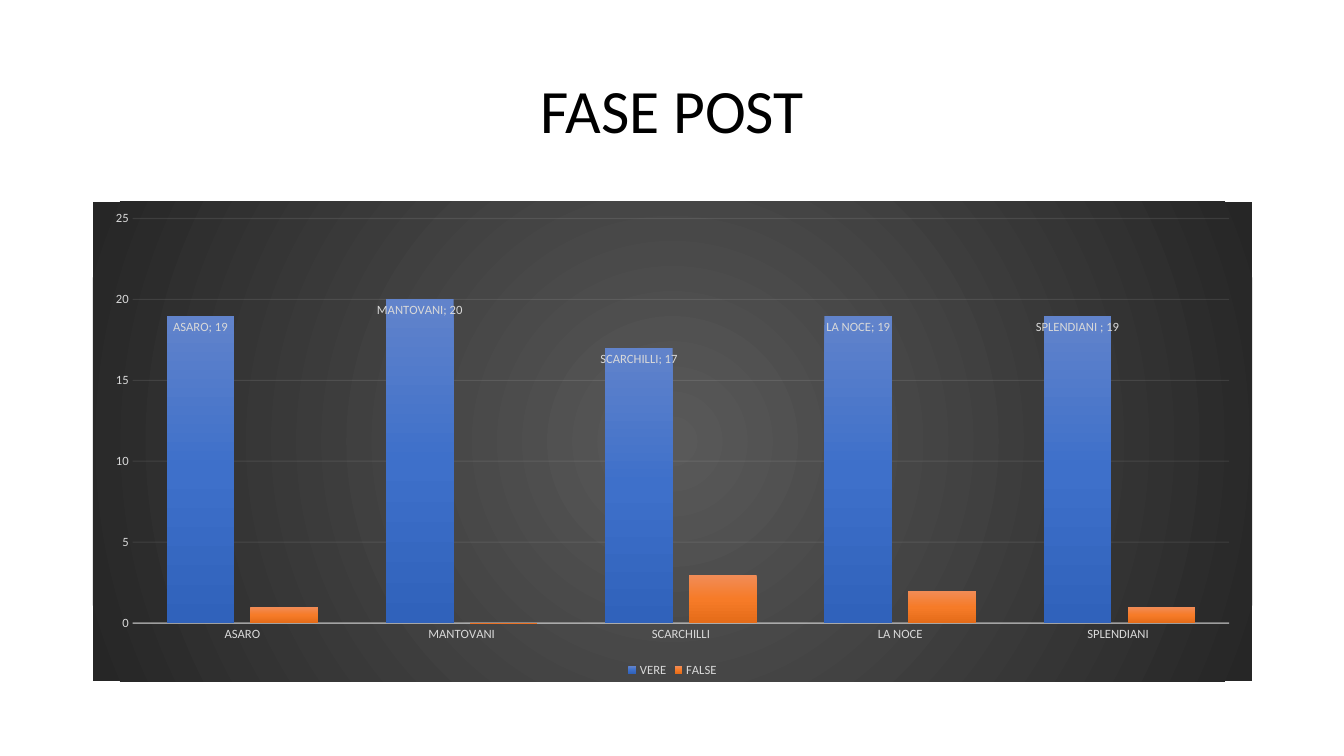
from lxml import etree
from pptx import Presentation
from pptx import util as u
from pptx.chart.data import CategoryChartData
from pptx.dml.color import RGBColor
from pptx.enum import chart as ch, text
from pptx.oxml import parse_xml
from pptx.oxml.ns import nsdecls, qn

FONT = "Calibri"
LABEL_GREY = "D9D9D9"
LINE_GREY = "F2F2F2"
LINEAR = '<a:lin ang="5400000" scaled="0"/>'
CIRCLE = ('<a:path path="circle"><a:fillToRect l="50000" t="50000" '
          'r="50000" b="50000"/></a:path>')

STUDENTS = ["ASARO", "MANTOVANI", "SCARCHILLI", "LA NOCE", "SPLENDIANI "]
ANSWERS = {
    "VERE": ([19, 20, 17, 19, 19], ["6183CB", "3E70CA", "3062BB"]),
    "FALSE": ([1, 0, 3, 2, 1], ["F18C57", "F67B28", "E56C19"]),
}


def colour(value):
    return RGBColor.from_string(value)


def style_font(font, size, value):
    font.name = FONT
    font.size = u.Pt(size)
    font.color.rgb = colour(value)


def gradient(stops, direction):
    """Gradient fill with evenly spaced stops."""
    step = 100000 // (len(stops) - 1)
    marks = "".join(f'<a:gs pos="{i * step}"><a:srgbClr val="{stop}"/></a:gs>'
                    for i, stop in enumerate(stops))
    return parse_xml(f'<a:gradFill {nsdecls("a")} rotWithShape="1">'
                     f'<a:gsLst>{marks}</a:gsLst>{direction}</a:gradFill>')


def style_line(line, width, opacity):
    line.width = u.Pt(width)
    line.color.rgb = colour(LINE_GREY)
    tint = line._get_or_add_ln().find(".//" + qn("a:srgbClr"))
    etree.SubElement(tint, qn("a:alpha"), val=str(opacity * 1000))


def add_title(slide, wording):
    title = slide.shapes.title
    title.left, title.top = u.Inches(0.92), u.Inches(0.4)
    title.width, title.height = u.Inches(11.5), u.Inches(1.45)
    frame = title.text_frame
    frame.word_wrap = True
    frame.vertical_anchor = text.MSO_ANCHOR.MIDDLE
    paragraph = frame.paragraphs[0]
    paragraph.alignment = text.PP_ALIGN.CENTER
    paragraph.line_spacing = 0.9
    run = paragraph.add_run()
    run.text = wording
    style_font(run.font, 44, "000000")


def style_axes(chart):
    students, score = chart.category_axis, chart.value_axis
    for axis in (students, score):
        axis.major_tick_mark = axis.minor_tick_mark = ch.XL_TICK_MARK.NONE
        style_font(axis.tick_labels.font, 9, LABEL_GREY)
    style_line(students.format.line, 1, 54)
    score.minimum_scale, score.maximum_scale, score.major_unit = 0, 25, 5
    score.format.line.fill.background()
    style_line(score.major_gridlines.format.line, 0.75, 10)


def label_bars(series):
    labels = series.data_labels
    labels.show_value = labels.show_category_name = True
    labels.position = ch.XL_LABEL_POSITION.INSIDE_END
    style_font(labels.font, 9, LABEL_GREY)
    separator = parse_xml(f'<c:separator {nsdecls("c")}>; </c:separator>')
    labels._element.find(qn("c:showBubbleSize")).addnext(separator)


def add_answer_chart(slide):
    data = CategoryChartData()
    data.categories = STUDENTS
    for name, (values, _) in ANSWERS.items():
        data.add_series(name, values)
    chart = slide.shapes.add_chart(
        ch.XL_CHART_TYPE.COLUMN_CLUSTERED, u.Inches(0.92), u.Inches(2),
        u.Inches(11.5), u.Inches(4.76), data).chart
    style_font(chart.font, 10, "000000")
    chart.has_title = False

    # Dark background
    backdrop = parse_xml(f'<c:spPr {nsdecls("c", "a")}/>')
    backdrop.append(gradient(["595959", "262626"], CIRCLE))
    backdrop.append(parse_xml(f'<a:ln {nsdecls("a")}><a:noFill/></a:ln>'))
    chart._chartSpace.find(qn("c:chart")).addnext(backdrop)

    # Bars
    plot = chart.plots[0]
    plot.vary_by_categories = False
    plot.gap_width, plot.overlap = 100, -24
    for series, (_, stops) in zip(plot.series, ANSWERS.values()):
        series.invert_if_negative = False
        series._element.get_or_add_spPr().append(gradient(stops, LINEAR))
    label_bars(plot.series[0])

    style_axes(chart)

    # Legend
    chart.has_legend = True
    chart.legend.position = ch.XL_LEGEND_POSITION.BOTTOM
    chart.legend.include_in_layout = False
    style_font(chart.legend.font, 9, LABEL_GREY)


def main():
    deck = Presentation()
    deck.slide_width, deck.slide_height = u.Inches(13.33), u.Inches(7.5)
    slide = deck.slides.add_slide(deck.slide_layouts[5])
    add_title(slide, "FASE POST")
    add_answer_chart(slide)
    deck.save("out.pptx")


if __name__ == "__main__":
    main()
